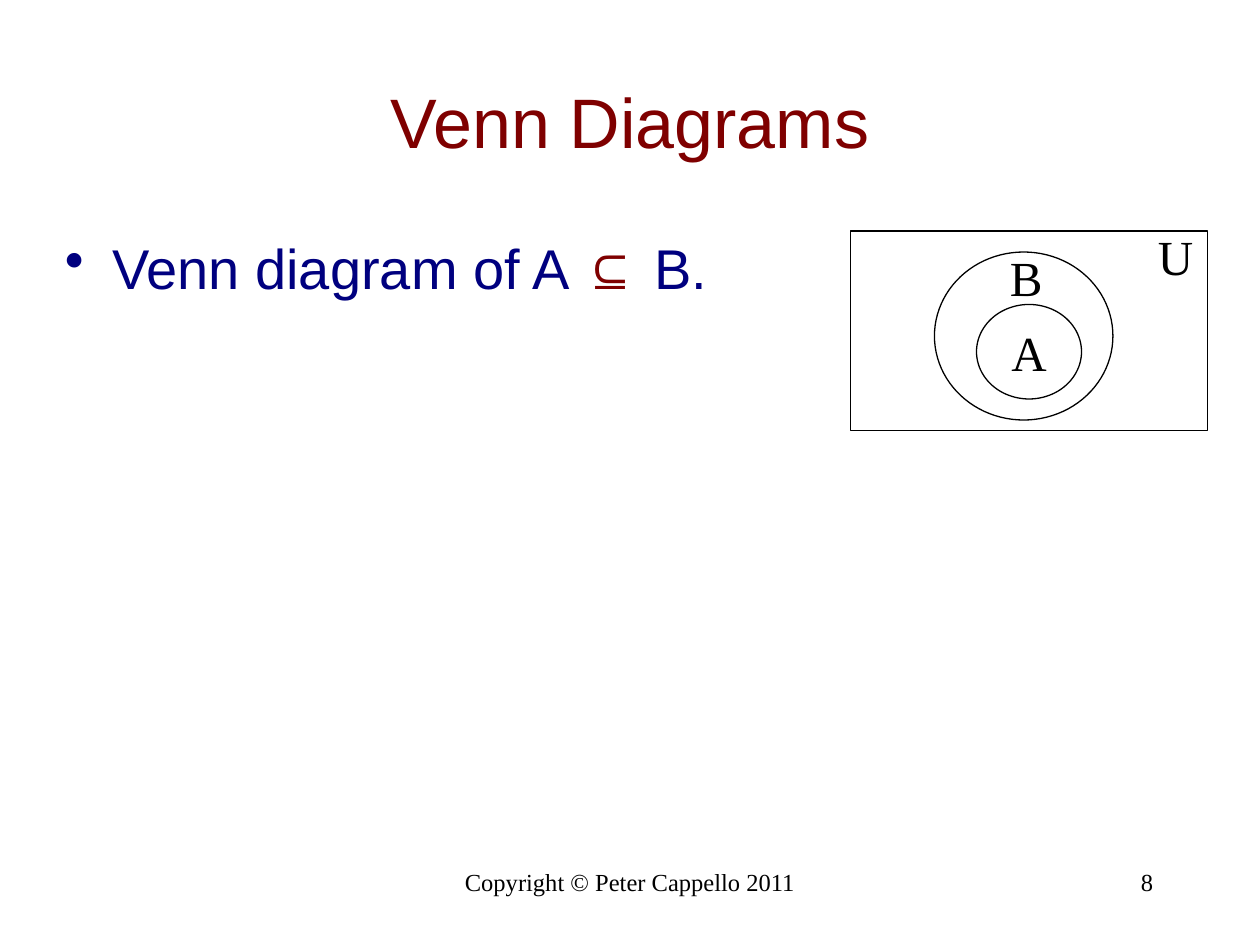
from dataclasses import dataclass

from lxml.etree import SubElement
from pptx import Presentation
from pptx.dml.color import RGBColor
from pptx.enum.shapes import MSO_SHAPE
from pptx.enum.text import MSO_ANCHOR, MSO_AUTO_SIZE, PP_ALIGN
from pptx.oxml.ns import qn
from pptx.shapes.autoshape import Shape
from pptx.slide import Slide
from pptx.util import Emu, Pt

EMU_PER_PX = 7620


@dataclass(frozen=True)
class Theme:
    maroon: RGBColor = RGBColor(0x7F, 0x00, 0x00)
    navy: RGBColor = RGBColor(0x00, 0x00, 0x7F)
    black: RGBColor = RGBColor(0x00, 0x00, 0x00)
    sans: str = "Arial"
    serif: str = "Times New Roman"
    title_pt: int = 40
    body_pt: int = 32
    set_pt: int = 28
    footer_pt: int = 14
    line_pt: float = 0.75


THEME = Theme()


@dataclass(frozen=True)
class Box:
    left: int
    top: int
    width: int
    height: int

    def emu(self) -> tuple[Emu, ...]:
        lengths = (self.left, self.top, self.width, self.height)
        return tuple(Emu(px * EMU_PER_PX) for px in lengths)


@dataclass(frozen=True)
class Label:
    wording: str
    box: Box
    size: int
    font: str = THEME.serif
    color: RGBColor = THEME.black
    align: PP_ALIGN = PP_ALIGN.LEFT
    anchor: MSO_ANCHOR = MSO_ANCHOR.TOP
    wrap: bool = True


@dataclass(frozen=True)
class Region:
    outline: MSO_SHAPE
    box: Box
    label: Label | None = None


@dataclass(frozen=True)
class Phrase:
    wording: str
    color: RGBColor
    bold: bool = False


LABELS = (
    Label("Copyright © Peter Cappello 2011", Box(410, 820, 380, 60),
          THEME.footer_pt, align=PP_ALIGN.CENTER),
    Label("8", Box(860, 820, 250, 60), THEME.footer_pt, align=PP_ALIGN.RIGHT),
    Label("Venn Diagrams", Box(90, 40, 1020, 150), THEME.title_pt, THEME.sans,
          THEME.maroon, PP_ALIGN.CENTER, MSO_ANCHOR.MIDDLE),
)

SET_A = Box(930, 290, 100, 90)
REGIONS = (
    Region(MSO_SHAPE.RECTANGLE, Box(810, 220, 340, 190)),
    Region(MSO_SHAPE.OVAL, SET_A,
           Label("A", SET_A, THEME.set_pt, align=PP_ALIGN.CENTER,
                 anchor=MSO_ANCHOR.MIDDLE, wrap=False)),
    Region(MSO_SHAPE.OVAL, Box(890, 240, 170, 160)),
)

SET_NAMES = (
    Label("U", Box(1091, 210, 58, 68), THEME.set_pt, wrap=False),
    Label("B", Box(950, 230, 55, 68), THEME.set_pt, wrap=False),
)

STATEMENT_BOX = Box(50, 210, 760, 620)
STATEMENT = (
    Phrase("Venn diagram of A ", THEME.navy),
    Phrase("⊆", THEME.maroon, bold=True),
    Phrase(" B.", THEME.navy),
)


def write(holder: Shape, label: Label) -> None:
    frame = holder.text_frame
    frame.text = label.wording
    frame.word_wrap = label.wrap
    frame.vertical_anchor = label.anchor
    paragraph = frame.paragraphs[0]
    paragraph.alignment = label.align
    for run in paragraph.runs:
        run.font.size = Pt(label.size)
        run.font.name = label.font
        run.font.color.rgb = label.color


def draw_label(slide: Slide, label: Label) -> None:
    holder = slide.shapes.add_textbox(*label.box.emu())
    write(holder, label)
    if not label.wrap:
        holder.text_frame.auto_size = MSO_AUTO_SIZE.SHAPE_TO_FIT_TEXT


def draw_region(slide: Slide, region: Region) -> None:
    outline = slide.shapes.add_shape(region.outline, *region.box.emu())
    outline.shadow.inherit = False
    outline.fill.background()
    outline.line.color.rgb = THEME.black
    outline.line.width = Pt(THEME.line_pt)
    if region.label:
        write(outline, region.label)


def draw_statement(slide: Slide, box: Box, phrases: tuple[Phrase, ...]) -> None:
    frame = slide.shapes.add_textbox(*box.emu()).text_frame
    frame.word_wrap = True
    paragraph = frame.paragraphs[0]
    paragraph.line_spacing = 1.1
    paragraph.space_before = Pt(8)
    for phrase in phrases:
        run = paragraph.add_run()
        run.text = phrase.wording
        run.font.size = Pt(THEME.body_pt)
        run.font.name = THEME.sans
        run.font.bold = phrase.bold
        run.font.color.rgb = phrase.color

    indent = 45 * EMU_PER_PX
    properties = paragraph._p.get_or_add_pPr()
    properties.set("marL", str(indent))
    properties.set("indent", str(-indent))
    bullet_color = SubElement(properties, qn("a:buClr"))
    SubElement(bullet_color, qn("a:srgbClr"), val=str(THEME.navy))
    SubElement(properties, qn("a:buChar"), char="•")


def main() -> None:
    deck = Presentation()
    deck.slide_width = Emu(1200 * EMU_PER_PX)
    deck.slide_height = Emu(900 * EMU_PER_PX)
    slide = deck.slides.add_slide(deck.slide_layouts[6])
    for label in LABELS:
        draw_label(slide, label)
    draw_statement(slide, STATEMENT_BOX, STATEMENT)
    for region in REGIONS:
        draw_region(slide, region)
    for set_name in SET_NAMES:
        draw_label(slide, set_name)
    deck.save("out.pptx")


if __name__ == "__main__":
    main()
